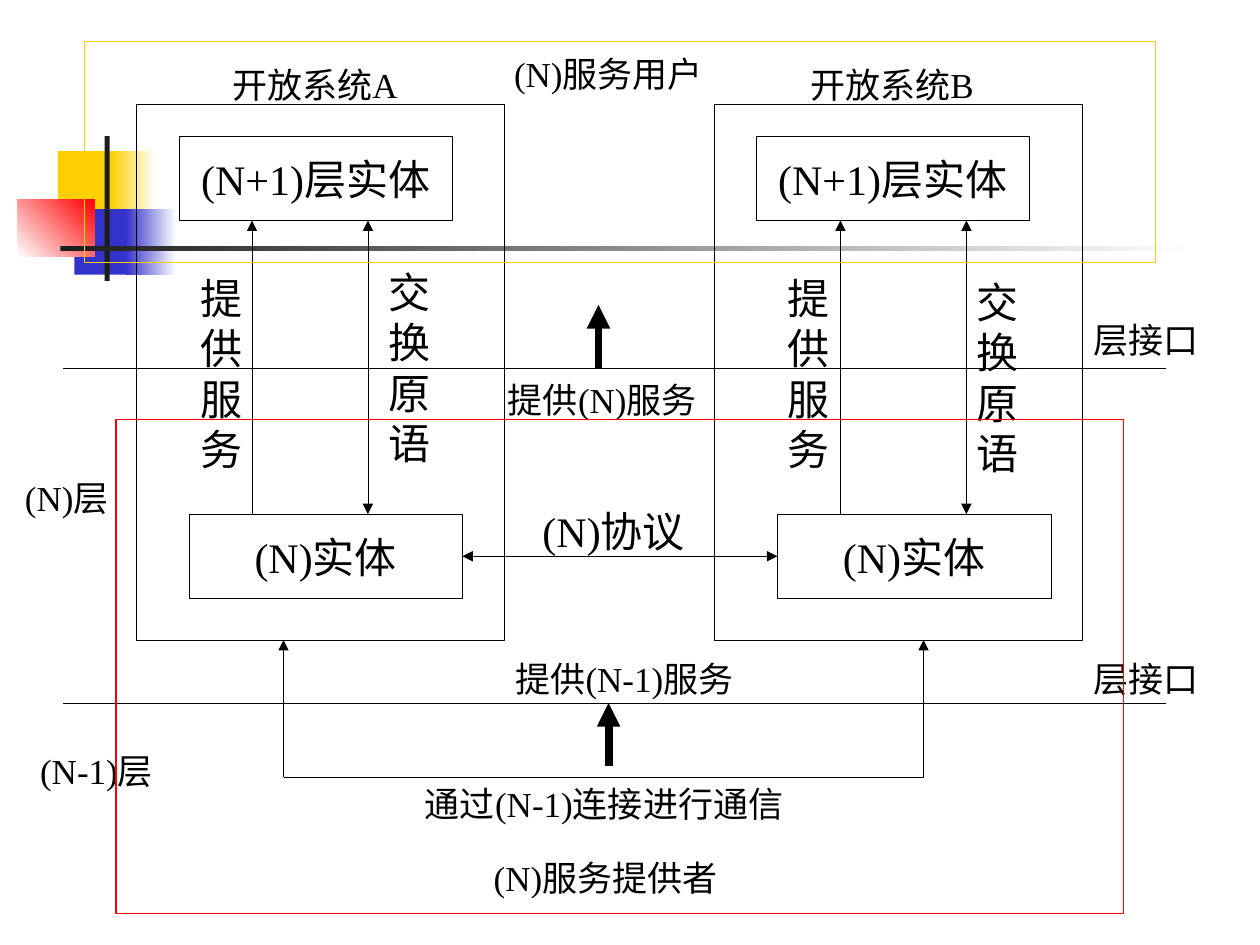
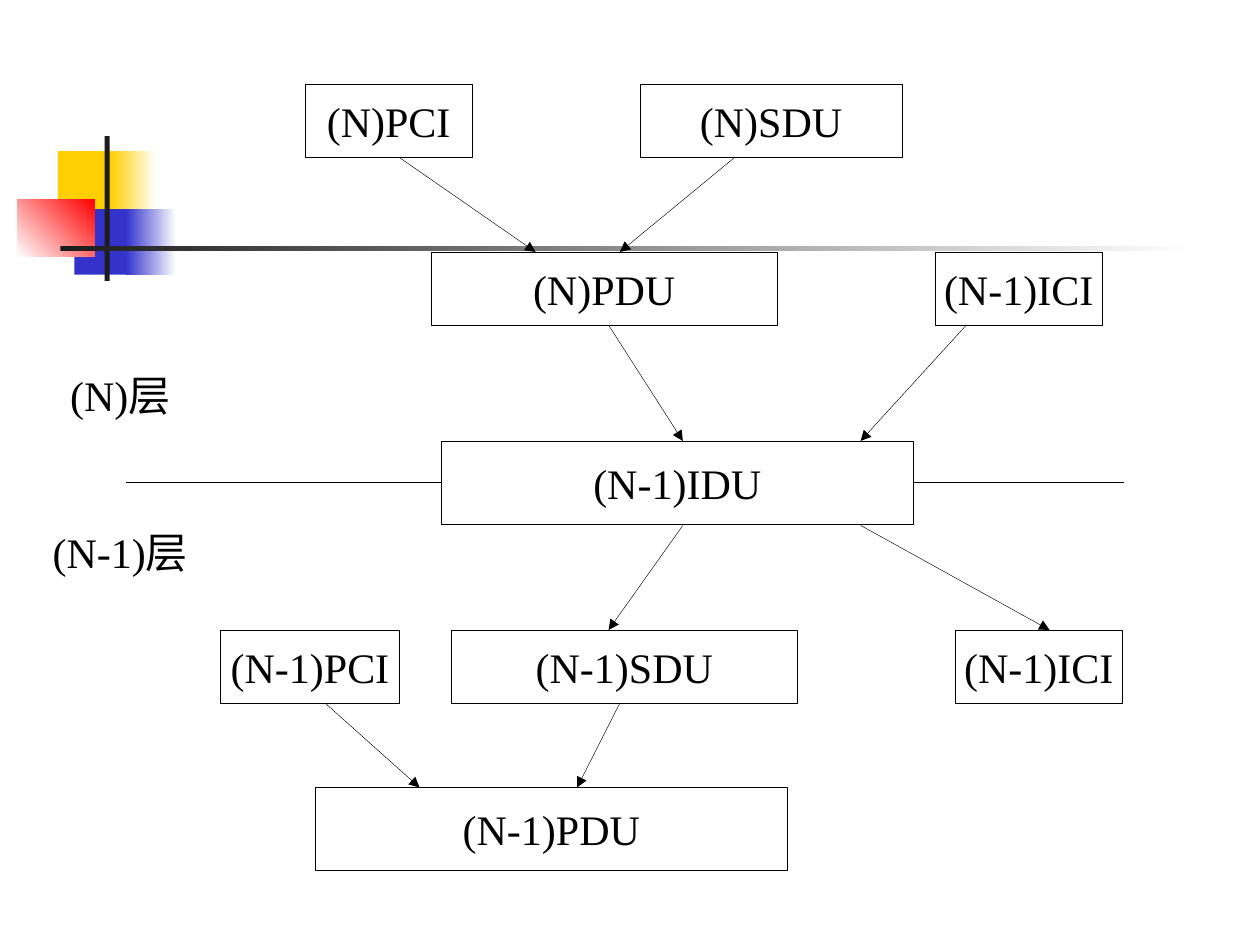
import lxml.etree
import pptx
import pptx.dml.color
import pptx.enum.shapes
import pptx.enum.text
import pptx.oxml.ns
import pptx.util

Inches = pptx.util.Inches
Pt = pptx.util.Pt
RGBColor = pptx.dml.color.RGBColor
RECTANGLE = pptx.enum.shapes.MSO_SHAPE.RECTANGLE
STRAIGHT = pptx.enum.shapes.MSO_CONNECTOR.STRAIGHT
ALIGN = pptx.enum.text.PP_ALIGN
ANCHOR = pptx.enum.text.MSO_ANCHOR

BLACK = RGBColor(0, 0, 0)
WHITE = RGBColor(255, 255, 255)
CHARCOAL = RGBColor(0x1C, 0x1C, 0x1C)
YELLOW = RGBColor(0xFF, 0xCF, 0x01)
BLUE = RGBColor(0x33, 0x33, 0xCC)
RED = RGBColor(255, 0, 0)

FONT = "Times New Roman"
HAIRLINE, THIN, HEAVY = 0.25, 0.75, 4.5
LARGE, MEDIUM = 24, 20
TOP, LEFT, BOTTOM, RIGHT = range(4)


def write_text(tf, text, size=LARGE, color=BLACK, align=ALIGN.CENTER,
               anchor=ANCHOR.MIDDLE):
    """Fill a text frame with one paragraph for each line of text."""
    tf.word_wrap = False
    tf.vertical_anchor = anchor
    for i, line in enumerate(text.split("\n")):
        p = tf.add_paragraph() if i else tf.paragraphs[0]
        p.alignment = align
        r = p.add_run()
        r.text = line
        r.font.name = FONT
        r.font.size = Pt(size)
        r.font.color.rgb = color


class Deck:
    """Holds the presentation, its shared style and the current slide."""

    def __init__(self):
        self.prs = pptx.Presentation()
        self.prs.slide_width = Inches(10)
        self.prs.slide_height = Inches(7.5)
        self.shapes = None

    def new_slide(self):
        s = self.prs.slides.add_slide(self.prs.slide_layouts[6])
        self.shapes = s.shapes
        self.ornament()

    def ornament(self):
        self.block((0.46, 1.2, 0.48, 0.52), YELLOW)
        self.block((0.88, 1.2, 0.36, 0.52), YELLOW, WHITE)
        self.block((0.59, 1.66, 0.46, 0.52), BLUE)
        self.block((1, 1.66, 0.4, 0.52), BLUE, WHITE)
        self.block((0.14, 1.58, 0.61, 0.46), WHITE, RED, angle=45)
        self.block((0.83, 1.08, 0.04, 1.15), CHARCOAL)
        self.block((0.48, 1.95, 9, 0.04), CHARCOAL, WHITE)

    def rectangle(self, place):
        sp = self.shapes.add_shape(RECTANGLE, *map(Inches, place))
        sp.shadow.inherit = False
        return sp

    def block(self, place, color, fade_to=None, angle=0):
        """Add a borderless rectangle, plain or fading to a second colour."""
        sp = self.rectangle(place)
        sp.line.fill.background()
        if fade_to is None:
            sp.fill.solid()
            sp.fill.fore_color.rgb = color
            return
        sp.fill.gradient()
        sp.fill.gradient_angle = angle
        for stop, rgb in zip(sp.fill.gradient_stops, (color, fade_to)):
            stop.color.rgb = rgb

    def box(self, place, text="", color=BLACK, width=HAIRLINE):
        """Add an unfilled outlined rectangle."""
        sp = self.rectangle(place)
        sp.fill.background()
        sp.line.color.rgb = color
        sp.line.width = Pt(width)
        if text:
            write_text(sp.text_frame, text)
        return sp

    def label(self, place, text, **style):
        """Add text in an invisible rectangle, which it may overflow evenly."""
        sp = self.rectangle(place)
        sp.fill.background()
        sp.line.fill.background()
        write_text(sp.text_frame, text, **style)

    def side_label(self, place, text):
        self.label(place, text, size=MEDIUM, align=ALIGN.LEFT, anchor=ANCHOR.TOP)

    def line(self, start, end, width=HAIRLINE, ends="", begin=None, finish=None):
        """Add a line; ends names its arrowheads, begin and finish are (shape, side)."""
        cxn = self.shapes.add_connector(STRAIGHT, *map(Inches, start + end))
        if begin:
            cxn.begin_connect(*begin)
        if finish:
            cxn.end_connect(*finish)
        cxn.line.color.rgb = BLACK
        cxn.line.width = Pt(width)
        qn = pptx.oxml.ns.qn
        sp_pr = cxn._element.spPr
        for end_name in ends.split():
            lxml.etree.SubElement(sp_pr.find(qn("a:ln")), qn(f"a:{end_name}End"),
                                  type="triangle")
        lxml.etree.SubElement(sp_pr, qn("a:effectLst"))

    def arrow(self, start, end, width=HAIRLINE):
        self.line(start, end, width, ends="tail")


def add_layer_service_slide(deck):
    deck.new_slide()
    entities = []
    # name, name x, frame x, upper x, entity x, service text x, service x,
    # primitive x, primitive text x and y
    systems = (
        ("A", 2, 1.08, 1.42, 1.5, 1.17, 2, 2.92, 2.5, 2.75),
        ("B", 6.58, 5.67, 6, 6.17, 5.83, 6.67, 7.67, 7.17, 2.83),
    )
    for (name, name_x, frame_x, upper_x, entity_x, service_text_x, service_x,
         primitive_x, primitive_text_x, primitive_text_y) in systems:
        deck.box((upper_x, 1.08, 2.17, 0.67), "(N+1)层实体")
        entities.append(deck.box((entity_x, 4.08, 2.17, 0.67), "(N)实体"))
        deck.box((frame_x, 0.83, 2.92, 4.25))
        deck.arrow((service_x, 4.08), (service_x, 1.75))
        deck.line((primitive_x, 4.08), (primitive_x, 1.75), ends="head tail")
        deck.label((service_text_x, 2.67, 1.17, 0.58), "提\n供\n服\n务")
        deck.label((primitive_text_x, primitive_text_y, 1.5, 0.33), "交\n换\n原\n语")
        deck.label((name_x, 0.17, 1, 1), f"开放系统{name}", size=MEDIUM)

    for interface_y, text_y in ((2.92, 2.48), (5.58, 5.17)):
        deck.line((0.5, interface_y), (9.25, interface_y))
        deck.side_label((8.58, text_y, 1.03, 0.44), "层接口")

    deck.line((3.67, 4.42), (6.17, 4.42), THIN, "head tail",
              begin=(entities[0], RIGHT), finish=(entities[1], LEFT))
    deck.label((4.08, 4, 1.58, 0.42), "(N)协议")

    deck.arrow((4.83, 6.08), (4.83, 5.58), HEAVY)
    deck.arrow((4.75, 2.92), (4.75, 2.42), HEAVY)
    for x in (2.25, 7.33):
        deck.arrow((x, 6.17), (x, 5.08), THIN)
    deck.line((2.25, 6.17), (7.33, 6.17), THIN)

    for place, text in (
        ((4.25, 2.67, 1, 1), " 提供(N)服务"),
        ((4.33, 0.08, 1, 1), "(N)服务用户"),
        ((4.17, 6.25, 1.25, 0.25), "通过(N-1)连接进行通信"),
    ):
        deck.label(place, text, size=MEDIUM)
    for place, text in (
        ((3.93, 5.17, 2.13, 0.44), " 提供(N-1)服务"),
        ((3.82, 6.75, 2.04, 0.44), "(N)服务提供者"),
        ((0.1, 3.73, 0.93, 0.44), "(N)层"),
        ((0.22, 5.9, 1.16, 0.44), "(N-1)层"),
    ):
        deck.side_label(place, text)

    deck.box((0.92, 3.33, 8, 3.92), color=RED, width=THIN)
    deck.box((0.67, 0.33, 8.5, 1.75), color=YELLOW)


def add_data_unit_slide(deck):
    deck.new_slide()
    for x, y, width, text in (
        (2.42, 0.67, 1.33, "(N)PCI"),
        (5.08, 0.67, 2.08, "(N)SDU"),
        (3.42, 2, 2.75, "(N)PDU"),
        (7.42, 2, 1.33, "(N-1)ICI"),
        (1.75, 5, 1.42, "(N-1)PCI"),
        (3.58, 5, 2.75, "(N-1)SDU"),
        (7.58, 5, 1.33, "(N-1)ICI"),
    ):
        deck.box((x, y, width, 0.58), text)
    idu = deck.box((3.5, 3.5, 3.75, 0.66), "(N-1)IDU")
    deck.box((2.5, 6.25, 3.75, 0.66), "(N-1)PDU")

    deck.line((1, 3.83), (3.5, 3.83), finish=(idu, LEFT))
    deck.line((7.25, 3.83), (8.92, 3.83), begin=(idu, RIGHT))

    # Each row of arrows: top, bottom, then (start x, end x) pairs
    for top, bottom, spans in (
        (1.25, 2, ((3.17, 4.25), (5.83, 4.92))),
        (2.58, 3.5, ((4.83, 5.42), (7.67, 6.83))),
        (4.17, 5, ((5.42, 4.83), (6.83, 8.33))),
        (5.58, 6.25, ((2.58, 3.33), (4.92, 4.58))),
    ):
        for start_x, end_x in spans:
            deck.arrow((start_x, top), (end_x, bottom))

    deck.label((0.58, 2.92, 0.75, 0.42), "(N)层")
    deck.box((0.58, 4.17, 0.75, 0.42), "(N-1)层", color=WHITE)


def main():
    deck = Deck()
    add_layer_service_slide(deck)
    add_data_unit_slide(deck)
    deck.prs.save("out.pptx")


if __name__ == "__main__":
    main()
